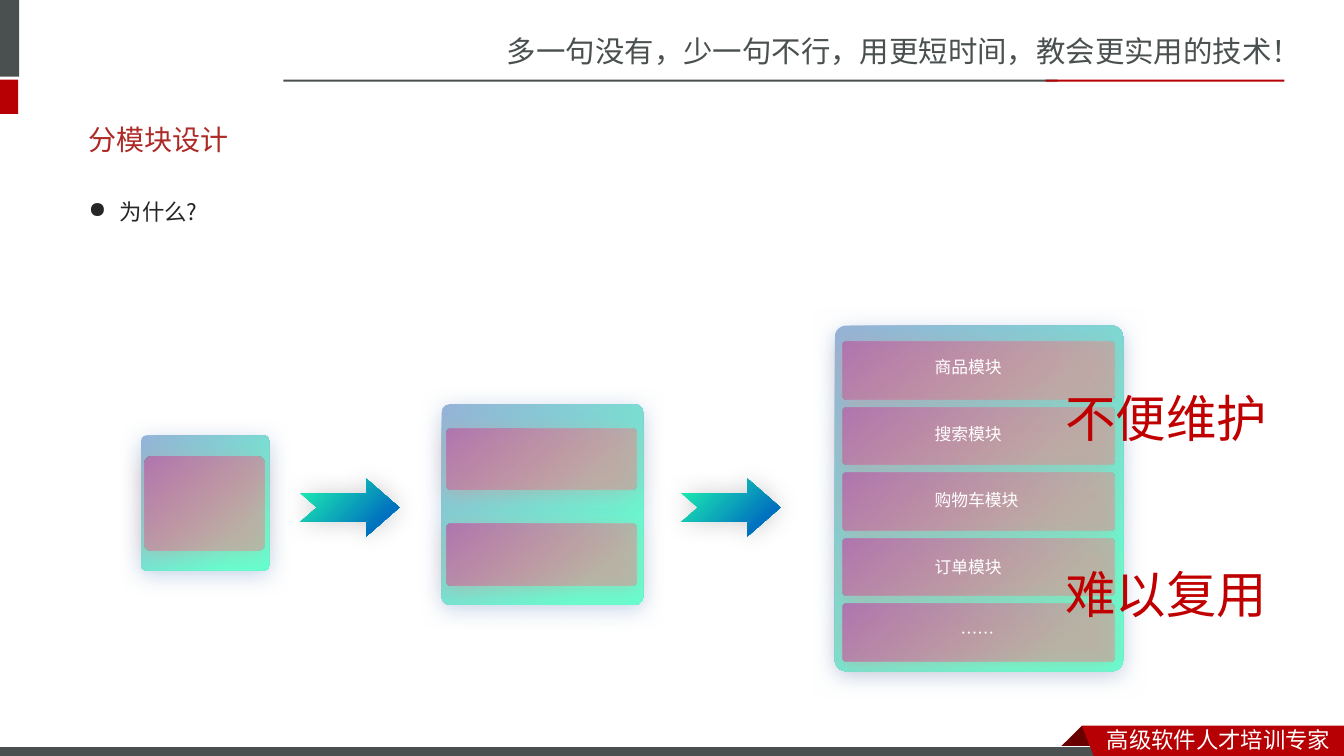
from lxml import etree
from pptx import Presentation
from pptx.dml.color import RGBColor
from pptx.enum.shapes import MSO_SHAPE
from pptx.enum.text import MSO_ANCHOR, MSO_AUTO_SIZE
from pptx.oxml.ns import qn
from pptx.util import Inches, Pt

RECT = MSO_SHAPE.RECTANGLE
ROUND = MSO_SHAPE.ROUNDED_RECTANGLE
ARROW = MSO_SHAPE.NOTCHED_RIGHT_ARROW
MIDDLE = MSO_ANCHOR.MIDDLE
GROW = MSO_AUTO_SIZE.SHAPE_TO_FIT_TEXT

GRAY = RGBColor(0x49, 0x50, 0x4F)
RED = RGBColor(0xB6, 0x00, 0x04)
DARK_RED = RGBColor(0x68, 0x00, 0x00)
TITLE_RED = RGBColor(0xAD, 0x2A, 0x26)
ALERT_RED = RGBColor(0xC0, 0x00, 0x00)
INK = RGBColor(0x26, 0x26, 0x26)
WHITE = RGBColor(0xFF, 0xFF, 0xFF)
BLACK = RGBColor(0x00, 0x00, 0x00)
BLUE = RGBColor(0x95, 0xB3, 0xD7)
MINT = RGBColor(0x67, 0xFE, 0xCF)
PURPLE = RGBColor(0xAF, 0x76, 0xB0)
PINK = RGBColor(0xD9, 0x96, 0x94)
GREEN = RGBColor(0x1E, 0xF8, 0xAF)
DEEP_BLUE = RGBColor(0x00, 0x70, 0xC0)

SANS_SC = "Noto Sans CJK SC"
SANS_JP = "Noto Sans CJK JP"

# Look of each kind: shape, adjustments, colours, end stop, end opacity,
# angle, shadow (colour, opacity, blur, distance)
OUTER = (ROUND, [0.04], BLUE, MINT, 0.84, 100, 50, (BLUE, 52, 16, 3))
INNER = (ROUND, [0.077], PURPLE, PINK, 0.79, 58, 50, (PINK, 52, 16, 3))
STEP = (ARROW, [0.5, 0.571], GREEN, DEEP_BLUE, 0.79, 100, 45, (BLACK, 20, 18, 0))

prs = Presentation()
prs.slide_width = Inches(13.33)
prs.slide_height = Inches(7.5)
slide = prs.slides.add_slide(prs.slide_layouts[6])
shapes = slide.shapes


def add_text(words, box, size, color, font, wrap=True):
    frame = shapes.add_textbox(*map(Inches, box)).text_frame
    frame.word_wrap = wrap
    frame.auto_size = GROW
    run = frame.paragraphs[0].add_run()
    run.text = words
    run.font.size = Pt(size)
    run.font.color.rgb = color
    run.font.name = font
    east = etree.SubElement(run.font._element, qn("a:ea"))
    east.set("typeface", font)
    return frame


def add_block(look, box):
    kind, adjust, first, last, stop, opaque, angle, shade = look
    block = shapes.add_shape(kind, *map(Inches, box))
    for i, value in enumerate(adjust):
        block.adjustments[i] = value
    block.line.fill.background()
    block.fill.gradient()
    block.fill.gradient_angle = 360 - angle
    stops = block.fill.gradient_stops
    stops[0].color.rgb, stops[0].position = first, 0
    stops[1].color.rgb, stops[1].position = last, stop
    block.shadow.inherit = False
    props = block._element.spPr
    if opaque < 100:
        tint = props.findall(".//" + qn("a:srgbClr"))[-1]
        etree.SubElement(tint, qn("a:alpha")).set("val", str(opaque * 1000))
    color, alpha, blur, dist = shade
    outer = etree.SubElement(props.find(qn("a:effectLst")), qn("a:outerShdw"))
    outer.set("blurRad", str(Pt(blur)))
    outer.set("dist", str(Pt(dist)))
    outer.set("dir", "5400000")
    outer.set("algn", "ctr")
    outer.set("rotWithShape", "0")
    tint = etree.SubElement(outer, qn("a:srgbClr"))
    tint.set("val", str(color))
    etree.SubElement(tint, qn("a:alpha")).set("val", str(alpha * 1000))


# Header marks and rules, then the footer: tail, bar and ribbon
bars = [
    ((-0.06, 0, 0.25, 0.76), GRAY),
    ((-0.06, 0.79, 0.24, 0.34), RED),
    ((2.81, 0.79, 7.68, 0.02), GRAY),
    ((10.37, 0.79, 2.37, 0.02), RED),
    ([(10.73, 7.2), (10.95, 7.42), (10.94, 7.43), (10.52, 7.43), (10.51, 7.42)], DARK_RED),
    ((-0.01, 7.41, 11, 0.12), GRAY),
    ([(10.73, 7.2), (13.33, 7.2), (13.33, 7.54), (10.86, 7.53)], RED),
]
for place, color in bars:
    if isinstance(place, list):
        points = [(Inches(x), Inches(y)) for x, y in place]
        path = shapes.build_freeform(*points[0], scale=1.0)
        path.add_line_segments(points[1:], close=True)
        bar = path.convert_to_shape()
    else:
        bar = shapes.add_shape(RECT, *map(Inches, place))
    bar.shadow.inherit = False
    bar.fill.solid()
    bar.fill.fore_color.rgb = color
    bar.line.fill.background()
    if place == (-0.01, 7.41, 11, 0.12):
        bar.line.color.rgb = WHITE
        bar.line.width = Pt(0.75)

# Slogans
add_text("多一句没有，少一句不行，用更短时间，教会更实用的技术！",
         (4.93, 0.28, 8.41, 0.47), 21, GRAY, SANS_SC)
add_text("高级软件人才培训专家", (10.88, 7.15, 2.45, 0.37), 16, WHITE, SANS_SC)

# Title
title = add_text("分模块设计", (0.78, 1.1, 11.7, 0.57), 20, TITLE_RED, "Arial")
title.auto_size = MSO_AUTO_SIZE.NONE
title.vertical_anchor = MIDDLE

# Bullet question
body = add_text("为什么?", (0.78, 1.78, 11.7, 0.49), 16, INK, SANS_JP)
body.auto_size = MSO_AUTO_SIZE.NONE
para = body.paragraphs[0]
props = para._p.get_or_add_pPr()
props.set("marL", str(Inches(0.31)))
props.set("indent", str(-Inches(0.31)))
etree.SubElement(props, qn("a:buChar")).set("char", "●")
para.line_spacing = 1.5

# Large project: five modules
add_block(OUTER, (8.28, 3.23, 2.86, 3.43))
names = ["商品模块", "搜索模块", "购物车模块", "订单模块", "……"]
for i, name in enumerate(names):
    add_block(INNER, (8.36, 3.39 + 0.65 * i, 2.69, 0.57))
    left, width = (9.43, 0.55) if name == "……" else (9.17, 1.09)
    add_text(name, (left, 3.49 + 0.66 * i, width, 0.3), 12, WHITE, SANS_JP)

# Medium project: two modules
add_block(OUTER, (4.38, 4.01, 2, 1.99))
for top in (4.25, 5.2):
    add_block(INNER, (4.43, top, 1.88, 0.61))

# Small project: one module
add_block(OUTER, (1.4, 4.32, 1.27, 1.34))
add_block(INNER, (1.43, 4.53, 1.19, 0.93))

# Growth arrows
for left in (2.98, 6.76):
    add_block(STEP, (left, 4.75, 0.98, 0.57))

# Drawbacks
for words, top in (("不便维护", 3.79), ("难以复用", 5.54)):
    add_text(words, (10.47, top, 2.22, 0.71), 36, ALERT_RED, SANS_JP, wrap=False)

prs.save("out.pptx")
